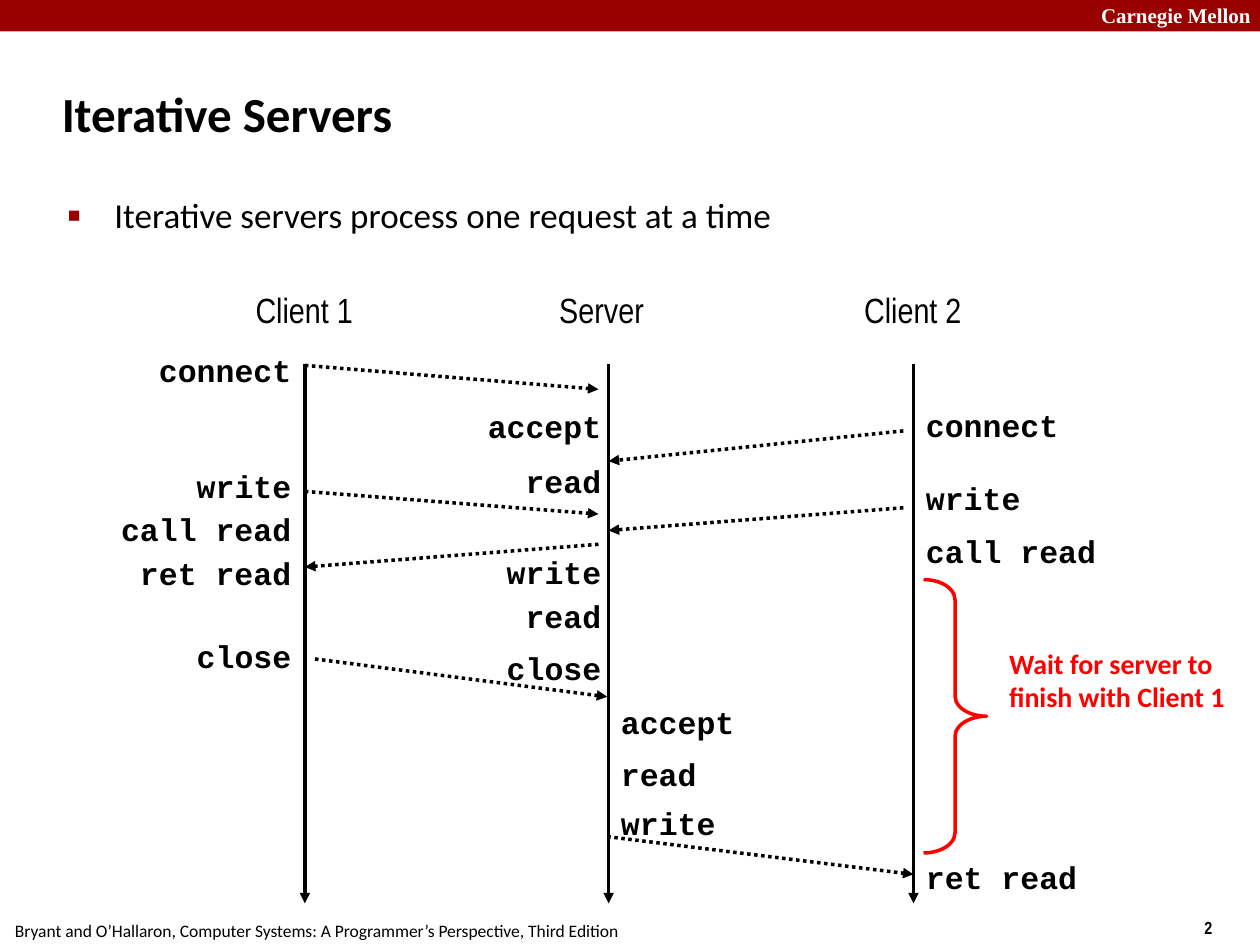
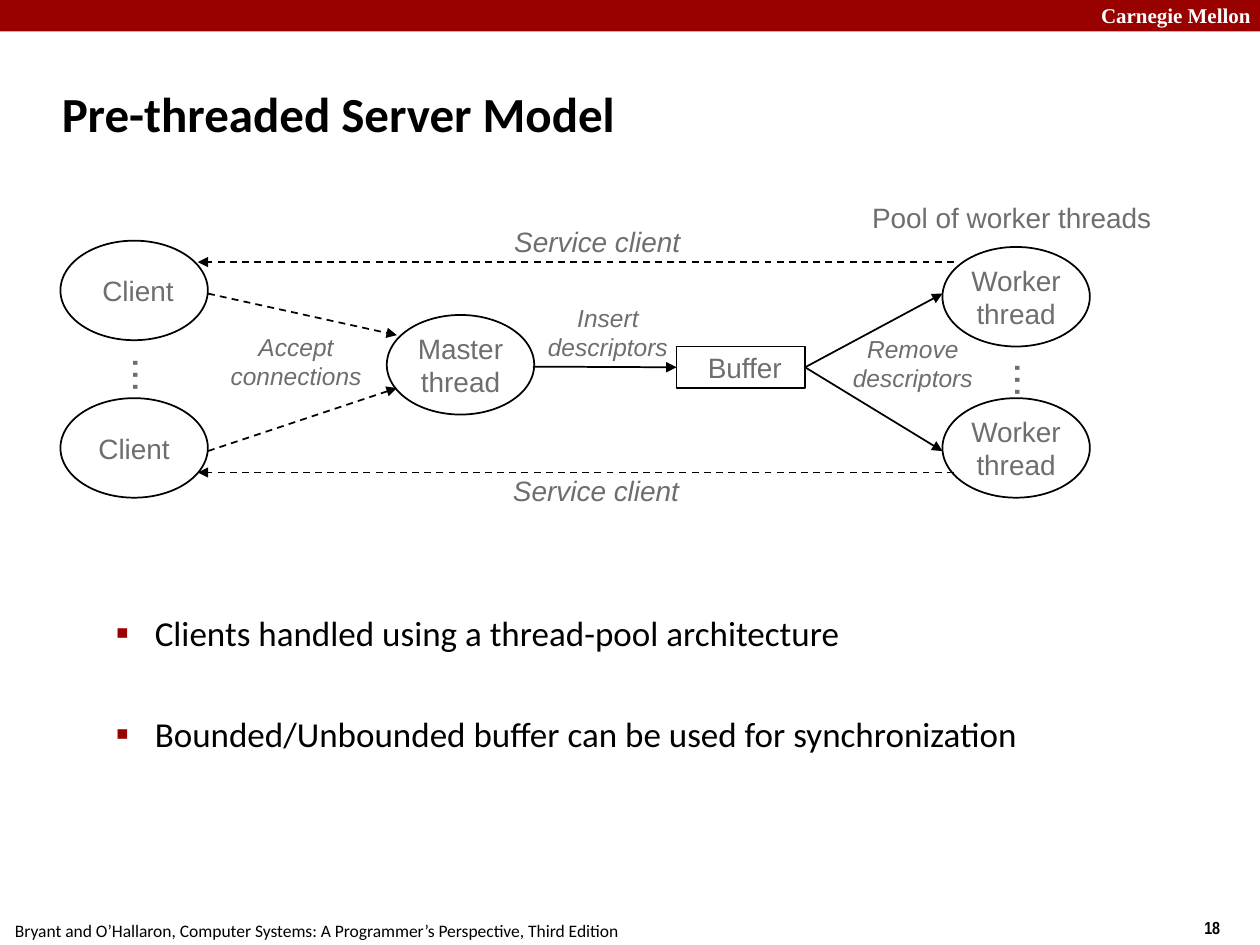
from lxml import etree
from pptx import Presentation
from pptx.dml.color import RGBColor
from pptx.enum.dml import MSO_LINE
from pptx.enum.shapes import MSO_CONNECTOR, MSO_SHAPE
from pptx.enum.text import MSO_ANCHOR, MSO_AUTO_SIZE, PP_ALIGN
from pptx.oxml.ns import qn
from pptx.util import Inches, Pt

LEFT, CENTER, RIGHT = PP_ALIGN.LEFT, PP_ALIGN.CENTER, PP_ALIGN.RIGHT
TOP, MIDDLE = MSO_ANCHOR.TOP, MSO_ANCHOR.MIDDLE
RECT, OVAL, BRACE = MSO_SHAPE.RECTANGLE, MSO_SHAPE.OVAL, MSO_SHAPE.RIGHT_BRACE
DOTS, DASH = MSO_LINE.ROUND_DOT, MSO_LINE.DASH
STRAIGHT = MSO_CONNECTOR.STRAIGHT

COLORS = {
    "band": "990000",
    "black": "000000",
    "white": "FFFFFF",
    "alert": "FF0000",
    "gray": "6E6E6E",
}
CREDIT = ("Bryant and O’Hallaron, Computer Systems: "
          "A Programmer’s Perspective, Third Edition")

CLIENT1, SERVER, CLIENT2 = 2.42, 4.83, 7.25
CODE_LEFT = [
    (2.41, [("connect", 2.74), ("write", 3.66), ("call read", 4),
            ("ret read", 4.35), ("close", 5.01)]),
    (4.87, [("accept", 3.18), ("read", 3.62), ("write", 4.34),
            ("read", 4.69), ("close", 5.1)]),
]
CODE_RIGHT = [
    (SERVER, [("accept", 5.53), ("read", 5.94), ("write", 6.33)]),
    (CLIENT2, [("connect", 3.17), ("write", 3.75), ("call read", 4.17),
               ("ret read", 6.76)]),
]
CALLS = [
    (CLIENT1, 2.9, 4.75, 3.09),
    (7.17, 3.42, SERVER, 3.66),
    (CLIENT1, 3.9, 4.75, 4.08),
    (7.17, 4.03, SERVER, 4.21),
    (4.75, 4.32, CLIENT1, 4.5),
    (2.5, 5.23, 4.82, 5.53),
    (4.82, 6.64, CLIENT2, 6.94),
]


def color(name):
    return RGBColor.from_string(COLORS[name])


def write(frame, text, size=16, font="Calibri", ink="black", bold=False,
          italic=False, align=LEFT, anchor=TOP, wrap=False,
          inset=(0.1, 0.05, 0.1, 0.05), gap=0, bullet=None):
    frame.word_wrap = wrap
    frame.auto_size = MSO_AUTO_SIZE.NONE
    frame.vertical_anchor = anchor
    (frame.margin_left, frame.margin_top,
     frame.margin_right, frame.margin_bottom) = map(Inches, inset)
    for i, line in enumerate(text.split("\n")):
        para = frame.paragraphs[0] if i == 0 else frame.add_paragraph()
        if bullet:
            mark(para, *bullet)
        para.alignment = align
        if i and gap:
            para.space_before = Pt(gap)
        run = para.add_run()
        run.text = line
        face = run.font
        face.size, face.name = Pt(size), font
        face.bold, face.italic = bold, italic
        face.color.rgb = color(ink)


def mark(para, char, margin, indent, scale):
    props = para._p.get_or_add_pPr()
    props.set("marL", str(Inches(margin)))
    props.set("indent", str(Inches(indent)))
    tint = etree.SubElement(props, qn("a:buClr"))
    etree.SubElement(tint, qn("a:srgbClr"), val=COLORS["band"])
    etree.SubElement(props, qn("a:buSzPct"), val=str(scale * 1000))
    etree.SubElement(props, qn("a:buFont"), typeface="Arial")
    etree.SubElement(props, qn("a:buChar"), char=char)


def label(slide, text, x, y, w, h, **style):
    box = slide.shapes.add_textbox(*map(Inches, (x, y, w, h)))
    write(box.text_frame, text, **style)
    return box


def shape(slide, kind, x, y, w, h, fill=None, line=None, width=1):
    item = slide.shapes.add_shape(kind, *map(Inches, (x, y, w, h)))
    item.shadow.inherit = False
    if fill:
        item.fill.solid()
        item.fill.fore_color.rgb = color(fill)
    else:
        item.fill.background()
    if line:
        item.line.color.rgb = color(line)
        item.line.width = Pt(width)
    else:
        item.line.fill.background()
    return item


def arrow(slide, x1, y1, x2, y2, width=1, dash=None):
    link = slide.shapes.add_connector(
        STRAIGHT, *map(Inches, (x1, y1, x2, y2)))
    link.line.color.rgb = color("black")
    link.line.width = Pt(width)
    if dash:
        link.line.dash_style = dash
    props = link.element.spPr
    etree.SubElement(props.find(qn("a:ln")), qn("a:tailEnd"), type="triangle")
    etree.SubElement(props, qn("a:effectLst"))
    return link


def node(slide, kind, text, x, y, w, h, fill=None, shift=0):
    item = shape(slide, kind, x, y, w, h, fill, "black")
    write(item.text_frame, text, font="Arial", ink="gray", align=CENTER,
          anchor=MIDDLE, inset=(0.1 + shift, 0, 0.1, 0))
    return item


def oval(slide, text, x, y, shift=0):
    return node(slide, OVAL, text, x, y, 1.17, 0.79, "white", shift)


def note(slide, text, x, y, w, h, size=14, italic=True):
    label(slide, text, x, y, w, h, size=size, font="Arial", ink="gray",
          italic=italic, align=CENTER, anchor=MIDDLE)


def dots(slide, x, y):
    box = label(slide, "...", x, y, 0.6, 0.38, size=24, font="Arial",
                ink="gray", align=CENTER, anchor=MIDDLE,
                inset=(0.05, 0.1, 0.05, 0.1))
    box.element.txBody.find(qn("a:bodyPr")).set("vert", "eaVert")


def code(slide, text, edge, y, align):
    width = 0.15 * len(text) + 0.2
    x = edge - width if align == RIGHT else edge
    label(slide, text, x, y, width, 0.4, size=18, font="Courier New",
          bold=True, align=align)


def start(deck, title, number):
    slide = deck.slides.add_slide(deck.slide_layouts[5])
    shape(slide, RECT, 0, 0, 10, 0.25, "band")
    label(slide, "Carnegie Mellon", 8.64, -0.03, 1.43, 0.3, size=12,
          font="Times New Roman", ink="white", bold=True, wrap=True)
    label(slide, number, 9.46, 7.23, 0.12 * len(number) + 0.2, 0.27,
          size=10, font="Arial Narrow", bold=True)
    label(slide, CREDIT, 0.02, 7.25, 5.01, 0.27, size=10)
    head = slide.shapes.title
    head.left, head.top, head.width, head.height = map(
        Inches, (0.39, 0.48, 8.3, 0.83))
    write(head.text_frame, title, size=28, bold=True, anchor=MIDDLE, wrap=True)
    return slide


def serve(deck):
    slide = start(deck, "Iterative Servers", "2")
    label(slide, "Iterative servers process one request at a time",
          0.43, 1.49, 8.64, 0.5, size=20, wrap=True,
          bullet=("■", 0.38, -0.37, 60))
    for name, x, left, width in (("Client 1", CLIENT1, 1.93, 0.97),
                                 ("Server", SERVER, 4.34, 0.87),
                                 ("Client 2", CLIENT2, 6.76, 0.97)):
        label(slide, name, left, 2.24, width, 0.43, size=20,
              font="Arial Narrow")
        arrow(slide, x, 2.89, x, 7.17, 2)
    for align, groups in ((RIGHT, CODE_LEFT), (LEFT, CODE_RIGHT)):
        for edge, steps in groups:
            for text, y in steps:
                code(slide, text, edge, y, align)
    for ends in CALLS:
        arrow(slide, *ends, 2, DOTS)
    brace = shape(slide, BRACE, 7.33, 4.6, 0.5, 2.17, None, "alert", 2)
    brace.adjustments[0], brace.adjustments[1] = 0.32, 0.5
    label(slide, "Wait for server to finish with Client 1",
          7.91, 5.08, 2.09, 0.63, ink="alert", bold=True, wrap=True)


def pool(deck):
    slide = start(deck, "Pre-threaded Server Model", "18")
    label(slide, "Clients handled using a thread-pool architecture\n"
          "Bounded/Unbounded buffer can be used for synchronization",
          0.32, 4.8, 9.08, 2.21, size=20, wrap=True, gap=34,
          bullet=("▪", 0.81, -0.31, 110))

    oval(slide, "Client", 0.48, 1.91, 0.06)
    oval(slide, "Client", 0.48, 3.16)
    oval(slide, "Master\nthread", 3.07, 2.5)
    for y in (1.96, 3.16):
        oval(slide, "Worker\nthread", 7.48, y)
    buffer = node(slide, RECT, "Buffer", 5.37, 2.75, 1.02, 0.33, shift=0.06)
    dots(slide, 0.89, 2.74)
    dots(slide, 7.89, 2.78)

    arrow(slide, 4.23, 2.91, 5.37, 2.91).end_connect(buffer, 1)
    for y in (2.33, 3.58):
        arrow(slide, 6.39, 2.91, 7.48, y).begin_connect(buffer, 3)
    for y, end in ((2.33, 2.66), (3.58, 3.08)):
        arrow(slide, 1.65, y, 3.15, end, dash=DASH)
    for y in (2.08, 3.75):
        arrow(slide, 7.57, y, 1.57, y, dash=DASH)

    note(slide, "Accept\nconnections", 1.73, 2.58, 1.24, 0.57)
    note(slide, "Insert\ndescriptors", 4.25, 2.35, 1.15, 0.57)
    note(slide, "Remove\ndescriptors", 6.67, 2.6, 1.15, 0.57)
    for x, y in ((3.98, 1.73), (3.97, 3.71)):
        note(slide, "Service client", x, y, 1.52, 0.37, 16)
    note(slide, "Pool of worker threads", 6.82, 1.54, 2.42, 0.37, 16, False)


def main():
    deck = Presentation()
    deck.slide_width, deck.slide_height = Inches(10), Inches(7.5)
    serve(deck)
    pool(deck)
    deck.save("out.pptx")


if __name__ == "__main__":
    main()
